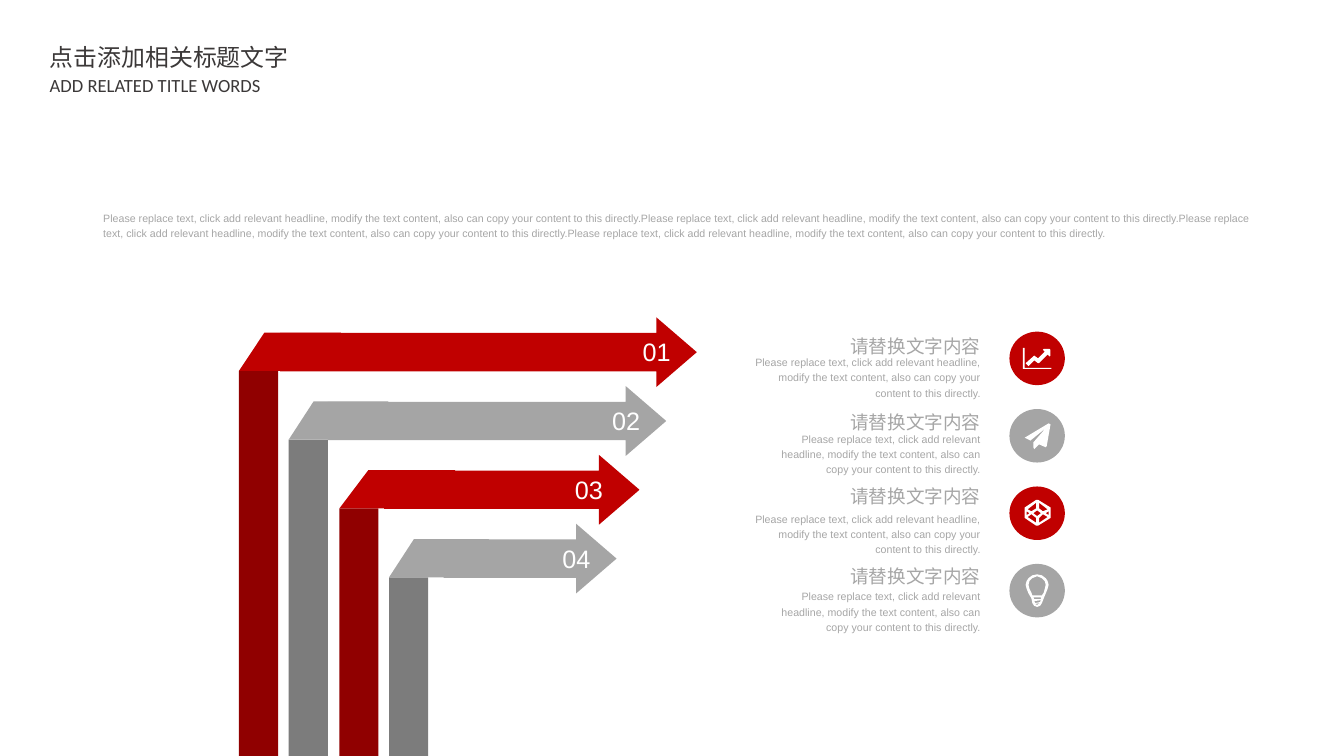
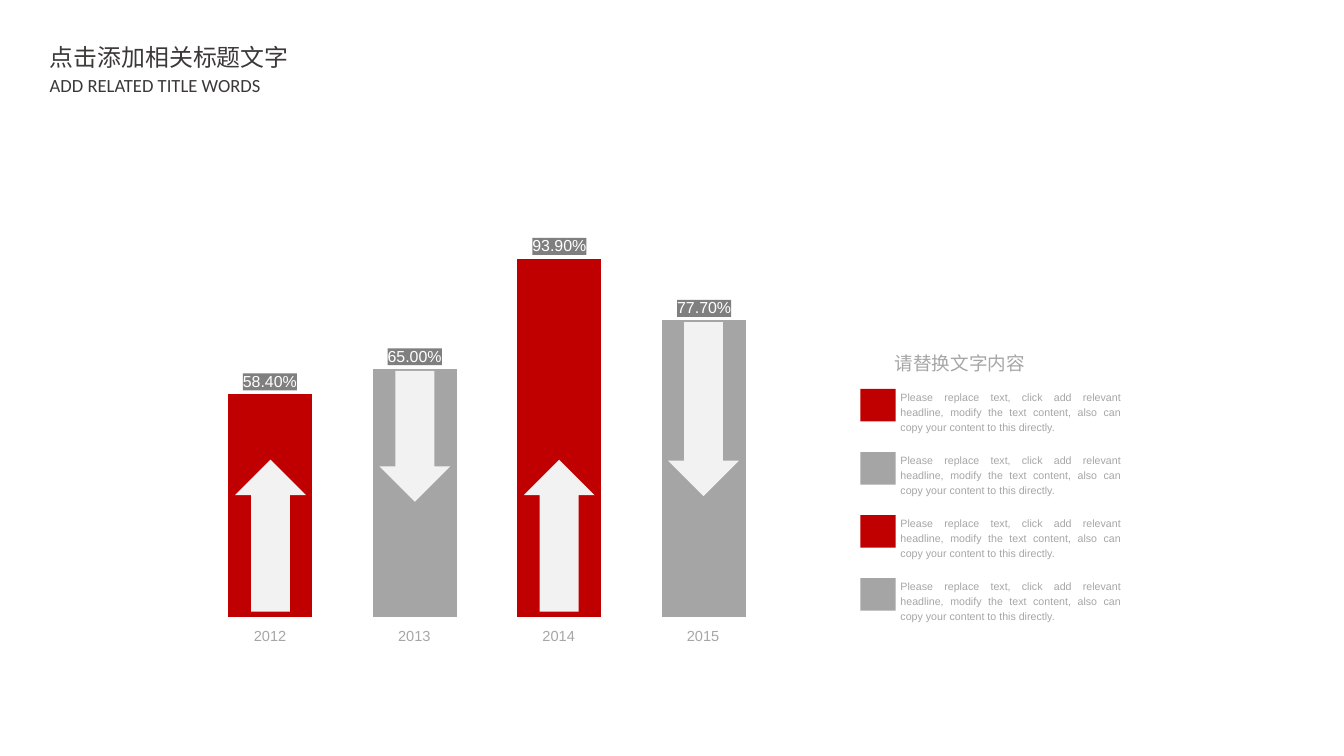
"""Build two infographic slides: folded numbered arrows and a yearly column chart."""
from dataclasses import dataclass

from lxml import etree
from pptx import Presentation
from pptx.chart.data import CategoryChartData
from pptx.dml.color import RGBColor
from pptx.enum import chart as ch
from pptx.enum import shapes as sh
from pptx.enum import text as tx
from pptx.oxml import parse_xml
from pptx.oxml.ns import nsdecls, qn
from pptx.shapes.autoshape import Shape
from pptx.slide import Slide
from pptx.util import Inches, Pt

RED = RGBColor(0xC0, 0x00, 0x00)
DARK_RED = RGBColor(0x90, 0x00, 0x00)
GREY = RGBColor(0xA5, 0xA5, 0xA5)
DARK_GREY = RGBColor(0x7C, 0x7C, 0x7C)
TEXT_GREY = RGBColor(0xA6, 0xA6, 0xA6)
TITLE_GREY = RGBColor(0x3B, 0x38, 0x38)
PALE = RGBColor(0xF2, 0xF2, 0xF2)
WHITE = RGBColor(0xFF, 0xFF, 0xFF)
ACCENTS = (RED, GREY, RED, GREY)
FOLD_SHADES = (DARK_RED, DARK_GREY, DARK_RED, DARK_GREY)

LATIN = "Arial"
CJK = "Noto Sans CJK SC"
HEADING = "请替换文字内容"
BODY = ("Please replace text, click add relevant headline, modify the text content, "
        "also can copy your content to this directly.")

Contour = list[tuple[int, int]]

CHART_ICON: list[Contour] = [
    [(15, 11), (-15, 11), (-15, -11), (-13, -11), (-13, 10), (15, 10)],
    [(14, -3), (13, -2), (11, -4), (2, 5), (1, 5), (-3, 2), (-9, 8), (-12, 5),
     (-3, -3), (1, 0), (8, -7), (6, -9), (7, -10), (13, -10), (14, -9)],
]
PLANE_ICON: list[Contour] = [
    [(14, -12), (10, 11), (9, 12), (2, 9), (-3, 14), (-4, 12), (-4, 7), (9, -8),
     (-7, 5), (-13, 2), (12, -13)],
]
HEXAGON_ICON: list[Contour] = [
    [(14, 5), (1, 13), (-1, 13), (-13, 5), (-13, -6), (-1, -14), (1, -14), (14, -6)],
    [(-8, 0), (-11, -2), (-11, 2)],
    [(-1, -5), (-1, -11), (-10, -4), (-6, -2)],
    [(-1, 10), (-1, 5), (-6, 1), (-10, 4)],
    [(4, 0), (0, -3), (-4, 0), (0, 3)],
    [(11, -4), (2, -11), (2, -5), (6, -2)],
    [(11, 4), (6, 1), (2, 5), (2, 10)],
    [(12, 2), (12, -2), (9, 0)],
]
BULB_ICON: list[Contour] = [
    [(0, -17), (-5, -16), (-9, -13), (-11, -10), (-12, -6), (-11, -2), (-9, 3),
     (-6, 8), (-5, 13), (-3, 16), (0, 17), (3, 16), (5, 13), (7, 8), (9, 3),
     (11, -2), (12, -6), (11, -10), (9, -13), (5, -16)],
    [(5, 5), (-5, 5), (-6, 2), (-8, -2), (-9, -6), (-8, -10), (-5, -13), (0, -15),
     (5, -13), (8, -10), (9, -6), (8, -2), (7, 2)],
    [(-4, 7), (4, 7), (4, 9), (-3, 9)],
    [(-3, 11), (4, 10), (3, 12), (-2, 13)],
    [(-2, 14), (3, 13), (0, 15)],
]


@dataclass(frozen=True)
class FoldedArrow:
    post_left: float
    arrow_left: float
    arrow_width: float
    fold_width: float
    number_left: float


@dataclass(frozen=True)
class Caption:
    heading_top: float
    body_top: float
    body_width: float
    icon: list[Contour]


@dataclass(frozen=True)
class YearBar:
    year: str
    share: float
    arrow: sh.MSO_SHAPE
    arrow_top: float
    arrow_height: float


FOLDED_ARROWS = (
    FoldedArrow(2.5, 2.93, 4.36, 1.33, 6.62),
    FoldedArrow(3.02, 3.43, 3.54, 1.3, 6.3),
    FoldedArrow(3.55, 4.02, 2.67, 1.51, 5.91),
    FoldedArrow(4.07, 4.64, 1.81, 1.3, 5.78),
)
CAPTIONS = (
    Caption(3.5, 3.7, 2.36, CHART_ICON),
    Caption(4.3, 4.5, 2.34, PLANE_ICON),
    Caption(5.07, 5.34, 2.36, HEXAGON_ICON),
    Caption(5.91, 6.15, 2.34, BULB_ICON),
)
YEAR_BARS = (
    YearBar("2012", 0.584, sh.MSO_SHAPE.UP_ARROW, 4.81, 1.59),
    YearBar("2013", 0.65, sh.MSO_SHAPE.DOWN_ARROW, 3.88, 1.37),
    YearBar("2014", 0.939, sh.MSO_SHAPE.UP_ARROW, 4.81, 1.59),
    YearBar("2015", 0.777, sh.MSO_SHAPE.DOWN_ARROW, 3.37, 1.82),
)


def paint(shape: Shape, color: RGBColor) -> Shape:
    """Give a shape a flat fill without outline or shadow."""
    shape.shadow.inherit = False
    shape.fill.solid()
    shape.fill.fore_color.rgb = color
    shape.line.fill.background()
    return shape


def add_block(slide: Slide, kind: sh.MSO_SHAPE, left: float, top: float, width: float,
              height: float, color: RGBColor) -> Shape:
    """Add a flat preset shape."""
    return paint(slide.shapes.add_shape(
        kind, Inches(left), Inches(top), Inches(width), Inches(height)), color)


def add_text(slide: Slide, content: str, left: float, top: float, width: float,
             height: float, size: float, color: RGBColor = TEXT_GREY,
             align: tx.PP_ALIGN = tx.PP_ALIGN.LEFT, spacing: float = 1.0,
             font: str = LATIN, anchor: tx.MSO_ANCHOR = tx.MSO_ANCHOR.TOP) -> None:
    """Add a one-paragraph text box without insets."""
    frame = slide.shapes.add_textbox(
        Inches(left), Inches(top), Inches(width), Inches(height)).text_frame
    frame.margin_left = frame.margin_right = frame.margin_top = frame.margin_bottom = 0
    frame.word_wrap = True
    frame.vertical_anchor = anchor
    paragraph = frame.paragraphs[0]
    paragraph.text = content
    paragraph.alignment = align
    paragraph.line_spacing = spacing
    paragraph.font.size = Pt(size)
    paragraph.font.color.rgb = color
    paragraph.font.name = font
    defaults = paragraph._p.pPr.find(qn("a:defRPr"))
    etree.SubElement(defaults, qn("a:ea")).set("typeface", CJK)


def add_title(slide: Slide) -> None:
    """Add the shared two-line title."""
    add_text(slide, "点击添加相关标题文字", 0.52, 0.45, 4, 0.31, 18, TITLE_GREY, font=CJK)
    add_text(slide, "ADD RELATED TITLE WORDS", 0.52, 0.77, 4, 0.24, 14, TITLE_GREY,
             font="Calibri")


def add_icon(slide: Slide, contours: list[Contour], center_x: float,
             center_y: float) -> None:
    """Draw contours, given in hundredths of an inch around a centre, as one white shape."""
    placed = [[(Inches(center_x + x / 100), Inches(center_y + y / 100)) for x, y in contour]
              for contour in contours]
    builder = slide.shapes.build_freeform(*placed[0][0])
    for contour in placed:
        builder.move_to(*contour[0])
        builder.add_line_segments(contour[1:], close=True)
    paint(builder.convert_to_shape(), WHITE)


def add_folded_arrow(slide: Slide, index: int, item: FoldedArrow, bottom: float) -> None:
    """Add a post that folds into a numbered arrow."""
    top = 3.32 + 0.72 * index
    color = ACCENTS[index]
    post_top = top + 0.56
    add_block(slide, sh.MSO_SHAPE.RECTANGLE, item.post_left, post_top, 0.41,
              bottom - post_top, FOLD_SHADES[index])
    arrow = add_block(slide, sh.MSO_SHAPE.RIGHT_ARROW, item.arrow_left, top,
                      item.arrow_width, 0.73, color)
    arrow.adjustments[0] = 0.55
    arrow.adjustments[1] = 0.58
    fold = add_block(slide, sh.MSO_SHAPE.FLOWCHART_MANUAL_OPERATION, item.post_left,
                     top + 0.16, item.fold_width, 0.4, color)
    fold.rotation = 180
    add_text(slide, f"{index + 1:02d}", item.number_left, top + 0.2, 0.5, 0.32, 19, WHITE,
             tx.PP_ALIGN.CENTER, anchor=tx.MSO_ANCHOR.MIDDLE)


def add_caption(slide: Slide, index: int, item: Caption) -> None:
    """Add a right-aligned caption with its round icon."""
    right = 10.26
    add_text(slide, HEADING, right - 2, item.heading_top, 2, 0.24, 14,
             align=tx.PP_ALIGN.RIGHT)
    add_text(slide, BODY, right - item.body_width, item.body_top, item.body_width, 0.47, 8,
             align=tx.PP_ALIGN.RIGHT, spacing=1.2)
    circle_top = 3.47 + 0.81 * index
    add_block(slide, sh.MSO_SHAPE.OVAL, 10.56, circle_top, 0.58, 0.56, ACCENTS[index])
    add_icon(slide, item.icon, 10.85, circle_top + 0.28)


def add_share_chart(slide: Slide) -> None:
    """Add the column chart of yearly shares."""
    data = CategoryChartData(number_format="0.00%")
    data.categories = [str(number + 1) for number in range(len(YEAR_BARS))]
    data.add_series("Series 1", [bar.share for bar in YEAR_BARS])
    chart = slide.shapes.add_chart(
        ch.XL_CHART_TYPE.COLUMN_CLUSTERED, Inches(1.94), Inches(2.38), Inches(6.31),
        Inches(4.16), data).chart
    chart.has_legend = False
    chart.has_title = False
    chart.font.size = Pt(10)
    chart.font.name = LATIN
    chart.category_axis.visible = False
    chart.value_axis.visible = False
    chart.value_axis.has_major_gridlines = False
    chart.value_axis.minimum_scale = 0
    chart.value_axis.maximum_scale = 1
    plot = chart.plots[0]
    plot.gap_width = 72
    plot.overlap = -27
    plot.vary_by_categories = False
    shares = plot.series[0]
    shares.format.fill.solid()
    shares.format.fill.fore_color.rgb = RED
    for index, color in enumerate(ACCENTS):
        fill = shares.points[index].format.fill
        fill.solid()
        fill.fore_color.rgb = color
    labels = shares.data_labels
    labels.show_value = True
    labels.position = ch.XL_LABEL_POSITION.OUTSIDE_END
    labels.number_format = "0.00%"
    labels.number_format_is_linked = False
    labels.font.size = Pt(12)
    labels.font.name = LATIN
    labels.font.color.rgb = WHITE
    labels._element.find(qn("c:txPr")).addprevious(parse_xml(
        f'<c:spPr {nsdecls("c", "a")}><a:solidFill><a:srgbClr val="7F7F7F"/>'
        '</a:solidFill></c:spPr>'))


def build_arrow_slide(slide: Slide, bottom: float) -> None:
    """Fill the slide of folded arrows and captions."""
    for index, item in enumerate(FOLDED_ARROWS):
        add_folded_arrow(slide, index, item, bottom)
    add_text(slide, BODY * 4, 1.08, 2.19, 12.02, 0.31, 8, spacing=1.2)
    for index, caption in enumerate(CAPTIONS):
        add_caption(slide, index, caption)
    add_title(slide)


def build_chart_slide(slide: Slide) -> None:
    """Fill the slide of the yearly chart and its legend."""
    add_share_chart(slide)
    for index, bar in enumerate(YEAR_BARS):
        offset = 1.51 * index
        arrow = add_block(slide, bar.arrow, 2.46 + offset, bar.arrow_top, 0.74,
                          bar.arrow_height, PALE)
        arrow.adjustments[0] = 0.55
        arrow.adjustments[1] = 0.5
        add_text(slide, bar.year, 2.35 + offset, 6.52, 0.95, 0.2, 11,
                 align=tx.PP_ALIGN.CENTER, spacing=1.2)
    add_text(slide, HEADING, 9.36, 3.64, 1.69, 0.28, 14, spacing=1.2)
    for index, color in enumerate(ACCENTS):
        top = 4.07 + 0.66 * index
        add_block(slide, sh.MSO_SHAPE.RECTANGLE, 9, top, 0.37, 0.34, color)
        add_text(slide, BODY, 9.42, top - 0.01, 2.31, 0.47, 8,
                 align=tx.PP_ALIGN.JUSTIFY, spacing=1.2)
    add_title(slide)


def main() -> None:
    """Build and save the presentation."""
    deck = Presentation()
    deck.slide_width = Inches(14.06)
    deck.slide_height = Inches(7.91)
    blank = deck.slide_layouts[6]
    build_arrow_slide(deck.slides.add_slide(blank), deck.slide_height.inches)
    build_chart_slide(deck.slides.add_slide(blank))
    deck.save("out.pptx")


if __name__ == "__main__":
    main()
